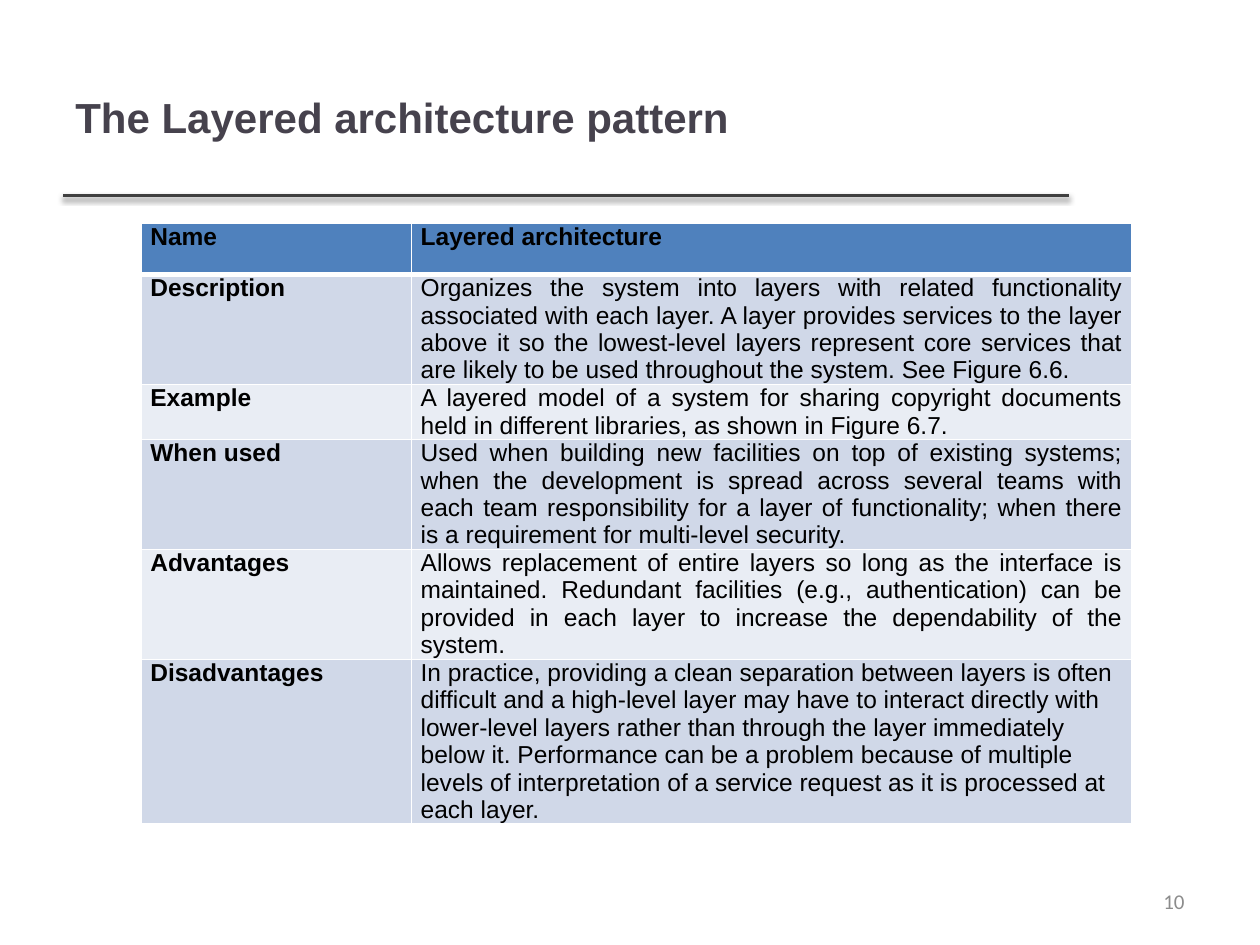
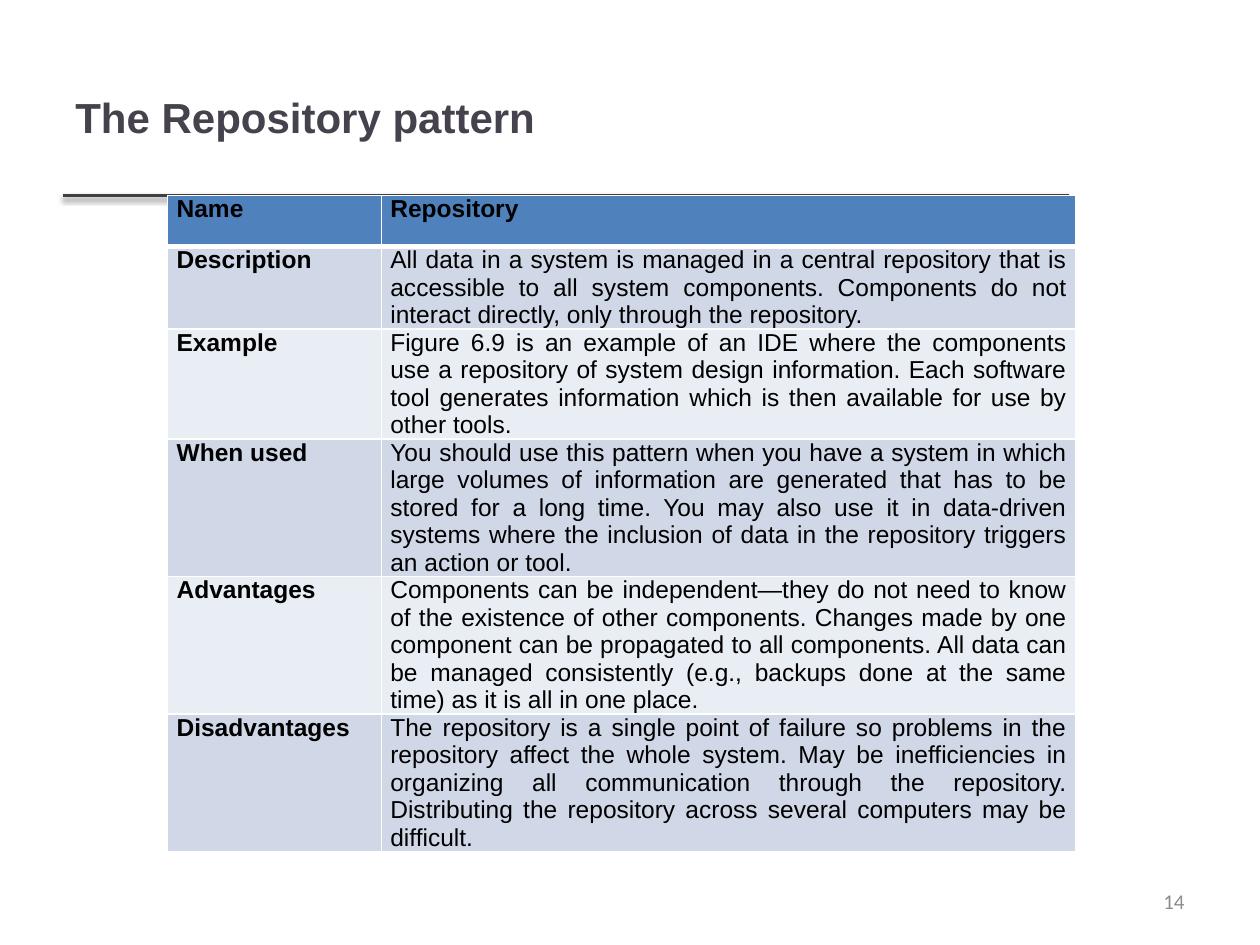
from lxml.etree import SubElement
from pptx import Presentation
from pptx.dml.color import RGBColor
from pptx.enum.shapes import MSO_CONNECTOR
from pptx.enum.text import MSO_ANCHOR, PP_ALIGN
from pptx.oxml.ns import qn
from pptx.util import Cm, Pt

# Content
LABELS = ["Name", "Description", "Example", "When used", "Advantages", "Disadvantages"]
PATTERNS = [
    {
        "title": "The Layered architecture pattern",
        "page": "10",
        "left": 2.85, "top": 4.5, "columns": (5.45, 14.51),
        "last_align": PP_ALIGN.LEFT,
        "entries": [
            "Layered architecture",
            "Organizes the system into layers with related functionality associated with "
            "each layer. A layer provides services to the layer above it so the lowest-level "
            "layers represent core services that are likely to be used throughout the "
            "system. See Figure 6.6.",
            "A layered model of a system for sharing copyright documents held in different "
            "libraries, as shown in Figure 6.7.",
            "Used when building new facilities on top of existing systems; when the "
            "development is spread across several teams with each team responsibility for a "
            "layer of functionality; when there is a requirement for multi-level security.",
            "Allows replacement of entire layers so long as the interface is maintained. "
            "Redundant facilities (e.g., authentication) can be provided in each layer to "
            "increase the dependability of the system.",
            "In practice, providing a clean separation between layers is often difficult "
            "and a high-level layer may have to interact directly with lower-level layers "
            "rather than through the layer immediately below it. Performance can be a "
            "problem because of multiple levels of interpretation of a service request as "
            "it is processed at each layer.",
        ],
    },
    {
        "title": "The Repository pattern",
        "page": "14",
        "left": 3.38, "top": 3.94, "columns": (4.31, 14.0),
        "last_align": PP_ALIGN.JUSTIFY,
        "entries": [
            "Repository",
            "All data in a system is managed in a central repository that is accessible to "
            "all system components. Components do not interact directly, only through the "
            "repository.",
            "Figure 6.9 is an example of an IDE where the components use a repository of "
            "system design information. Each software tool generates information which is "
            "then available for use by other tools.",
            "You should use this pattern when you have a system in which large volumes of "
            "information are generated that has to be stored for a long time. You may also "
            "use it in data-driven systems where the inclusion of data in the repository "
            "triggers an action or tool.",
            "Components can be independent—they do not need to know of the existence of "
            "other components. Changes made by one component can be propagated to all "
            "components. All data can be managed consistently (e.g., backups done at the "
            "same time) as it is all in one place.",
            "The repository is a single point of failure so problems in the repository "
            "affect the whole system. May be inefficiencies in organizing all communication "
            "through the repository. Distributing the repository across several computers "
            "may be difficult.",
        ],
    },
]

# Shared look
COLORS = {
    "title": "46424D", "rule": "404040", "page": "8C8C8C", "text": "000000",
    "header": "4F81BD", "odd": "D0D8E8", "even": "E9EDF4",
    "border": "FFFFFF", "shadow": "000000",
}
MARGIN, RULE_Y, RULE_W = 1.27, 3.94, 20.27
ROW_H, CELL_INSET, LINE_PT = 1.03, 0.18, 15.7


def color(name):
    return RGBColor.from_string(COLORS[name])


def write(tf, text, size=14, font="Arial", fill="text", bold=False,
          align=PP_ALIGN.LEFT, spacing=None):
    p = tf.paragraphs[0]
    p.alignment = align
    p.line_spacing = spacing
    r = p.add_run()
    r.text = text
    r.font.size, r.font.name, r.font.bold = Pt(size), font, bold
    r.font.color.rgb = color(fill)


def add_text(slide, box, text, **fmt):
    tf = slide.shapes.add_textbox(*map(Cm, box)).text_frame
    tf.word_wrap = True
    tf.vertical_anchor = MSO_ANCHOR.MIDDLE
    write(tf, text, **fmt)


def add_rule(slide):
    line = slide.shapes.add_connector(
        MSO_CONNECTOR.STRAIGHT, Cm(MARGIN), Cm(RULE_Y), Cm(MARGIN + RULE_W), Cm(RULE_Y))
    line.line.color.rgb = color("rule")
    line.line.width = Pt(2)
    effects = SubElement(line._element.spPr, qn("a:effectLst"))
    shadow = SubElement(effects, qn("a:outerShdw"), blurRad=str(Pt(3.1)),
                        dist=str(Pt(1.6)), dir="5400000", rotWithShape="0")
    tint = SubElement(shadow, qn("a:srgbClr"), val=COLORS["shadow"])
    SubElement(tint, qn("a:alpha"), val="38000")


def set_borders(cell, **widths):
    """Borders come before the fill in the cell properties, so call this first."""
    tc_pr = cell._tc.get_or_add_tcPr()
    for side in "LRTB":
        ln = SubElement(tc_pr, qn(f"a:ln{side}"), w=str(Pt(widths.get(side, 1))))
        SubElement(SubElement(ln, qn("a:solidFill")), qn("a:srgbClr"), val=COLORS["border"])


def add_pattern_table(slide, pattern):
    rows = list(zip(LABELS, pattern["entries"]))
    columns = pattern["columns"]
    table = slide.shapes.add_table(
        len(rows), len(columns), Cm(pattern["left"]), Cm(pattern["top"]),
        Cm(sum(columns)), Cm(ROW_H * len(rows))).table
    for column, width in zip(table.columns, columns):
        column.width = Cm(width)
    for i, row in enumerate(rows):
        table.rows[i].height = Cm(ROW_H)
        band = "header" if i == 0 else "odd" if i % 2 else "even"
        for j, text in enumerate(row):
            cell = table.cell(i, j)
            set_borders(cell, B=3 if i == 0 else 1, T=3 if i == 1 else 1)
            cell.fill.solid()
            cell.fill.fore_color.rgb = color(band)
            cell.margin_left = cell.margin_right = Cm(CELL_INSET)
            cell.margin_top = cell.margin_bottom = 0
            last = i == len(rows) - 1 and j == 1
            write(cell.text_frame, text, bold=i == 0 or j == 0, spacing=Pt(LINE_PT),
                  align=pattern["last_align"] if last else PP_ALIGN.JUSTIFY)


def main():
    prs = Presentation()
    prs.slide_width, prs.slide_height = Cm(25.4), Cm(19.05)
    for pattern in PATTERNS:
        slide = prs.slides.add_slide(prs.slide_layouts[6])
        add_rule(slide)
        add_text(slide, (MARGIN, 0.76, RULE_W, 3.18), pattern["title"],
                 size=24, fill="title", bold=True)
        add_pattern_table(slide, pattern)
        add_text(slide, (18.2, 17.66, 5.93, 1.01), pattern["page"],
                 size=12, font="Calibri", fill="page", align=PP_ALIGN.RIGHT)
    prs.save("out.pptx")


if __name__ == "__main__":
    main()
